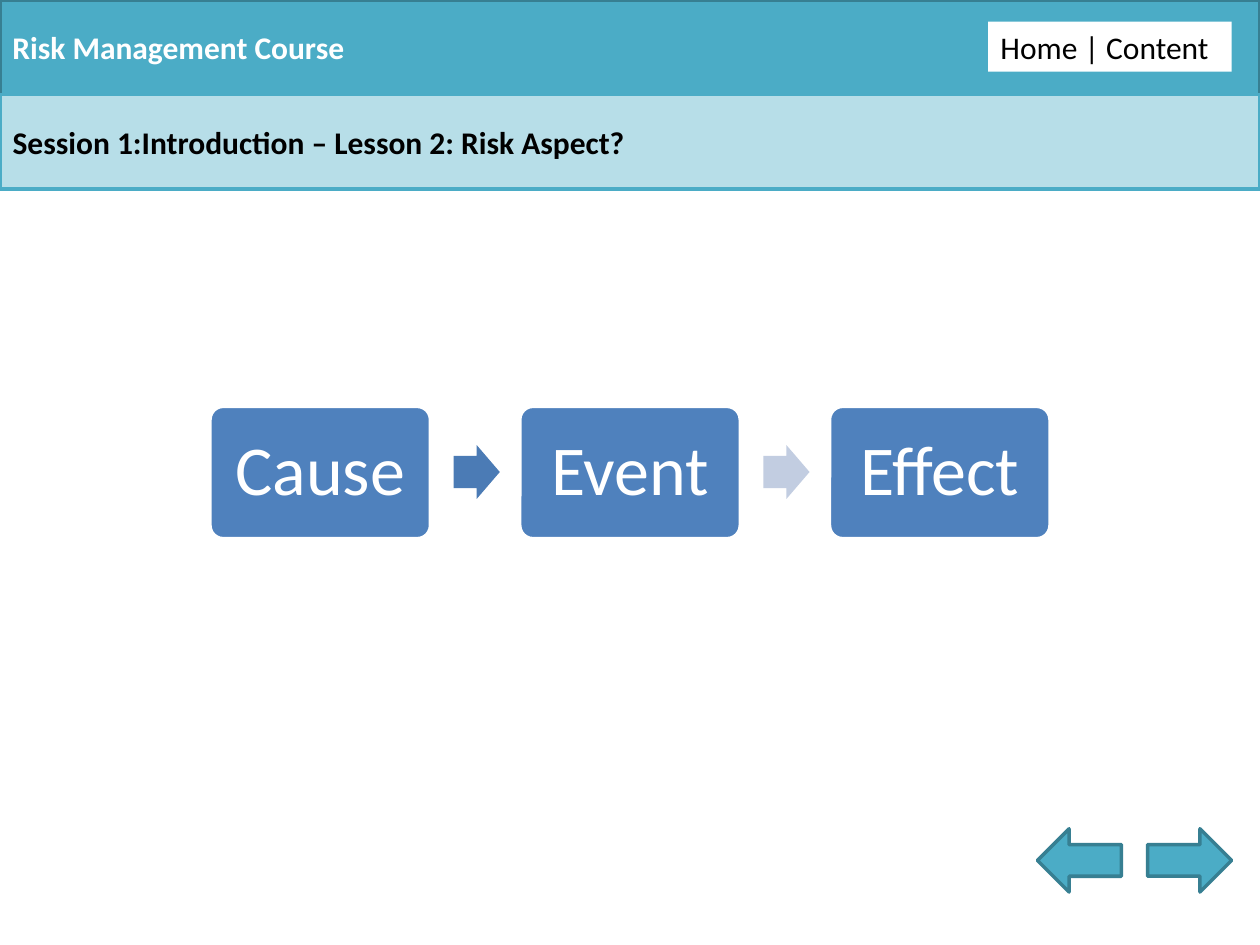
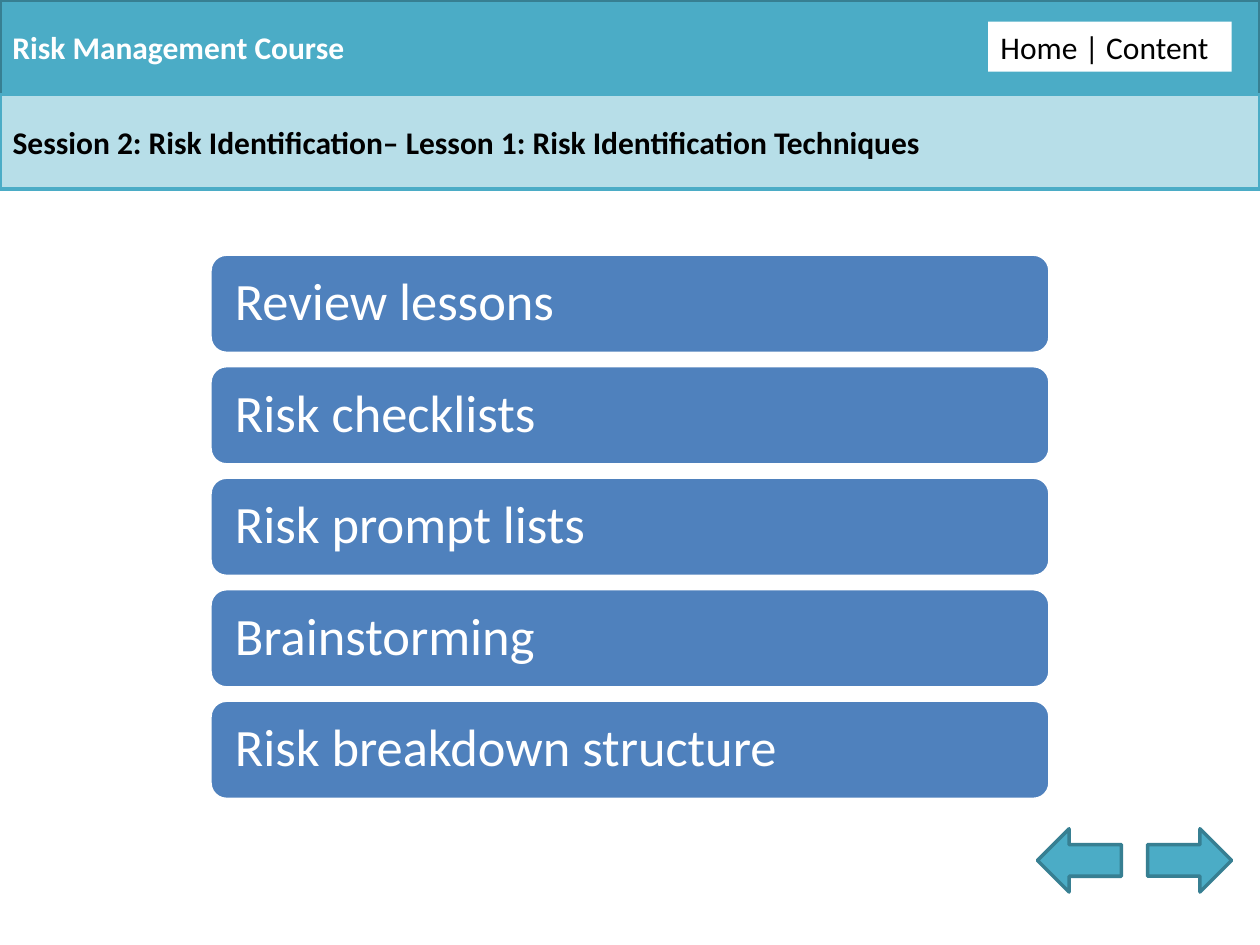
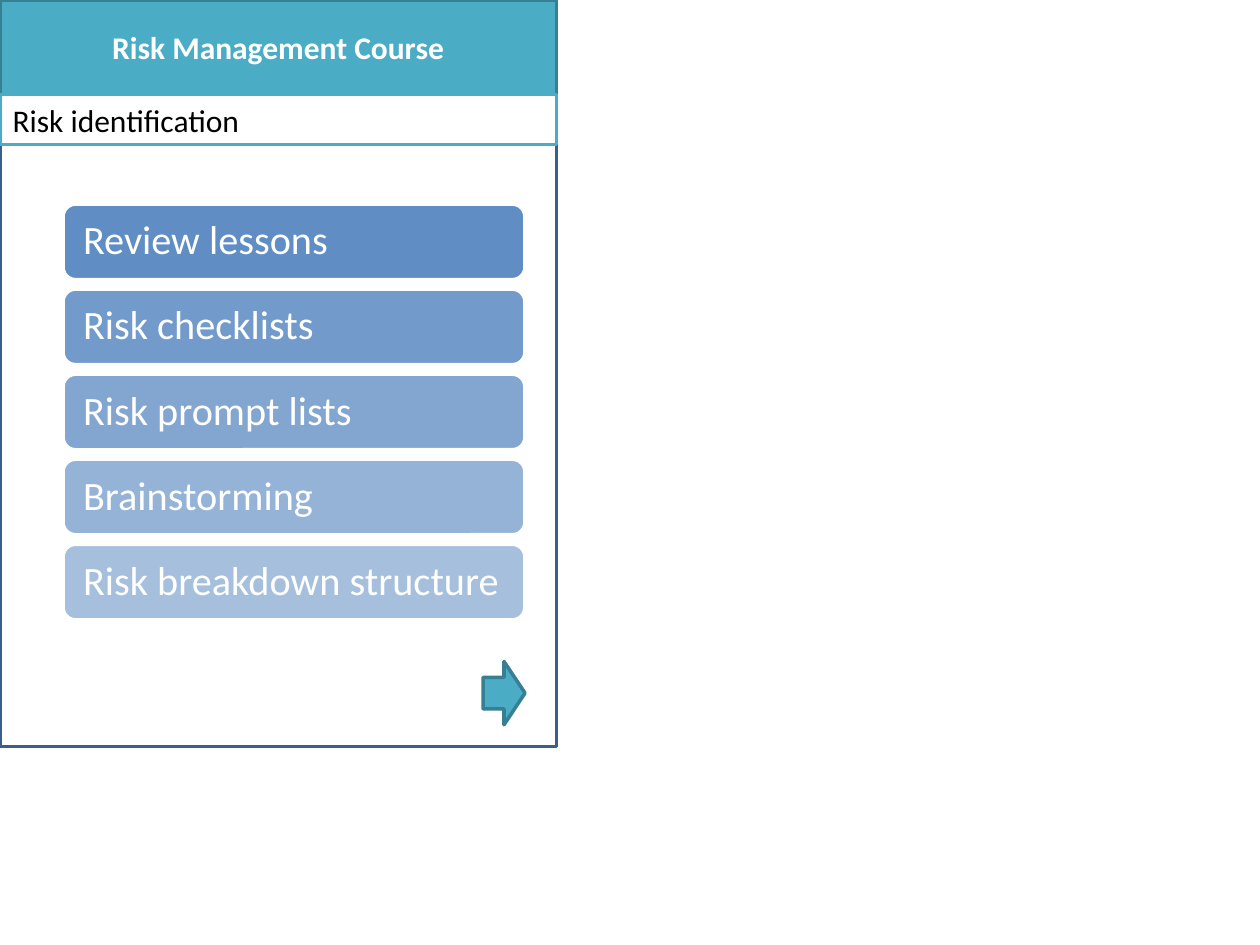
import lxml.etree
import pptx
import pptx.dml.color
import pptx.enum.shapes
import pptx.enum.text
import pptx.oxml.ns
import pptx.util

SHAPES = pptx.enum.shapes.MSO_SHAPE
ALIGN = pptx.enum.text.PP_ALIGN
TITLE_ONLY = 5

TEAL, DARK_TEAL, PALE_TEAL = "4BACC6", "377F92", "B7DEE8"
BLUE, FRAME_BLUE = "4F81BD", "3A5F8C"
WHITE, BLACK = "FFFFFF", "000000"


def color(hex_string):
    return pptx.dml.color.RGBColor.from_string(hex_string)


class Deck:
    """Course style and current slide; lengths are columns and rows."""

    font, line_width = "Calibri", 2
    columns, rows = 12, 10

    def __init__(self):
        self.presentation = pptx.Presentation()
        self.presentation.slide_width = pptx.util.Inches(10)
        self.presentation.slide_height = pptx.util.Inches(7.5)
        self.slide = None

    def new_slide(self):
        layout = self.presentation.slide_layouts[TITLE_ONLY]
        self.slide = self.presentation.slides.add_slide(layout)

    def box(self, left, top, width, height):
        column = self.presentation.slide_width / self.columns
        row = self.presentation.slide_height / self.rows
        return (round(left * column), round(top * row),
                round(width * column), round(height * row))

    def paint(self, shape, fill, line=None):
        shape.fill.solid()
        shape.fill.fore_color.rgb = color(fill)
        if line:
            shape.line.color.rgb = color(line)
            shape.line.width = pptx.util.Pt(self.line_width)
        else:
            shape.line.fill.background()

    def shape(self, kind, place, fill, line=None, adjustments=()):
        shape = self.slide.shapes.add_shape(kind, *self.box(*place))
        shape.shadow.inherit = False
        self.paint(shape, fill, line)
        for index, value in enumerate(adjustments):
            shape.adjustments[index] = value
        return shape

    def label(self, shape, text, ink, size=18, bold=False, align=ALIGN.LEFT,
              inset=0.1, spacing=None):
        frame = shape.text_frame
        frame.text = text
        frame.word_wrap = True
        frame.auto_size = pptx.enum.text.MSO_AUTO_SIZE.NONE
        frame.vertical_anchor = pptx.enum.text.MSO_ANCHOR.MIDDLE
        frame.margin_left = frame.margin_right = pptx.util.Inches(inset)
        frame.margin_top = frame.margin_bottom = pptx.util.Inches(0.05)
        paragraph = frame.paragraphs[0]
        paragraph.alignment = align
        paragraph.line_spacing = spacing
        font = paragraph.runs[0].font
        font.name, font.size, font.bold = self.font, pptx.util.Pt(size), bold
        font.color.rgb = color(ink)

    def course_band(self, width=12, align=ALIGN.LEFT):
        band = self.shape(SHAPES.RECTANGLE, (0, 0, width, 1), TEAL, DARK_TEAL)
        self.label(band, "Risk Management Course", WHITE, bold=True,
                   align=align)

    def menu(self):
        menu = self.shape(SHAPES.RECTANGLE, (9.41, 0.23, 2.32, 0.53), WHITE)
        self.label(menu, "Home | Content", BLACK)

    def title(self, text, width=12, height=1, fill=PALE_TEAL, bold=True):
        title = self.slide.shapes.title
        title.left, title.top, title.width, title.height = self.box(
            0, 1, width, height)
        self.paint(title, fill, TEAL)
        self.label(title, text, BLACK, bold=bold)
        # Bring the title in front of the bands drawn so far
        title.element.getparent().append(title.element)

    def navigation(self, left, top, width, back=False):
        arrow = self.shape(SHAPES.RIGHT_ARROW, (left, top, width, 0.67),
                           TEAL, DARK_TEAL)
        arrow.rotation = 180 if back else 0

    def lesson(self, text):
        self.new_slide()
        self.course_band()
        self.menu()
        self.title(text)
        self.navigation(10.93, 8.77, 0.8)
        self.navigation(9.88, 8.77, 0.8, back=True)

    def fade(self, shape, percent):
        fill = shape.element.spPr.find(pptx.oxml.ns.qn("a:solidFill"))
        lxml.etree.SubElement(fill[0], pptx.oxml.ns.qn("a:alpha"),
                              val=str(percent * 1000))

    def process(self, steps, arrow_fills, left=2, top=4.3, pitch=2.95):
        for index, step in enumerate(steps):
            card = self.shape(SHAPES.ROUNDED_RECTANGLE,
                              (left + index * pitch, top, 2.1, 1.4),
                              BLUE, WHITE, [0.1])
            self.label(card, step, WHITE, 40, align=ALIGN.CENTER, spacing=0.9)
        for index, fill in enumerate(arrow_fills):
            self.shape(SHAPES.RIGHT_ARROW,
                       (left + 2.32 + index * pitch, top + 0.41, 0.44, 0.57),
                       fill, adjustments=[0.6, 0.5])

    def bars(self, items, first, gap, size, inset, faded=False):
        left, top, width, height = first
        for index, item in enumerate(items):
            bar = self.shape(SHAPES.ROUNDED_RECTANGLE,
                             (left, top + index * (height + gap), width, height),
                             BLUE, WHITE)
            if faded:
                self.fade(bar, 90 - 10 * index)
            self.label(bar, item, WHITE, size, inset=inset, spacing=0.9)


TECHNIQUES = ["Review lessons", "Risk checklists", "Risk prompt lists",
              "Brainstorming", "Risk breakdown structure"]
deck = Deck()

# Risk aspect: cause, event, effect
deck.lesson("Session 1:Introduction – Lesson 2: Risk Aspect?")
deck.process(["Cause", "Event", "Effect"], ["4B7BB5", "C2CDE1"])

# Identification techniques, full width
deck.lesson("Session 2: Risk Identification– Lesson 1: "
            "Risk Identification Techniques")
deck.bars(TECHNIQUES, (2, 2.69, 8, 1.05), 0.13, 30, 0.16)

# Identification techniques, narrow panel
PANEL = 5.3
deck.new_slide()
deck.shape(SHAPES.RECTANGLE, (0, 1, PANEL, 6.9), WHITE, FRAME_BLUE)
deck.course_band(PANEL, ALIGN.CENTER)
deck.title("Risk identification", PANEL, 0.53, WHITE, bold=False)
deck.navigation(4.6, 7, 0.4)
deck.bars(TECHNIQUES, (0.6, 2.16, 4.4, 0.8), 0.1, 23, 0.13, faded=True)

deck.presentation.save("out.pptx")
